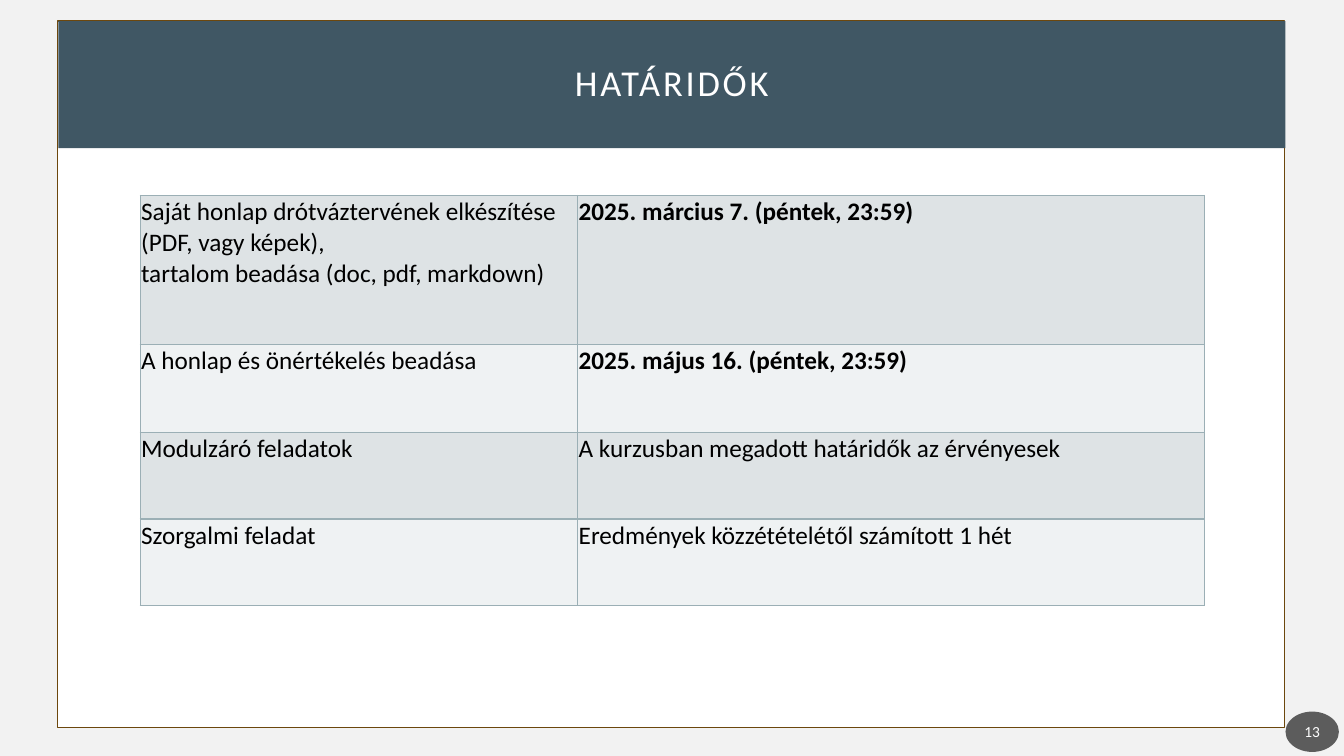
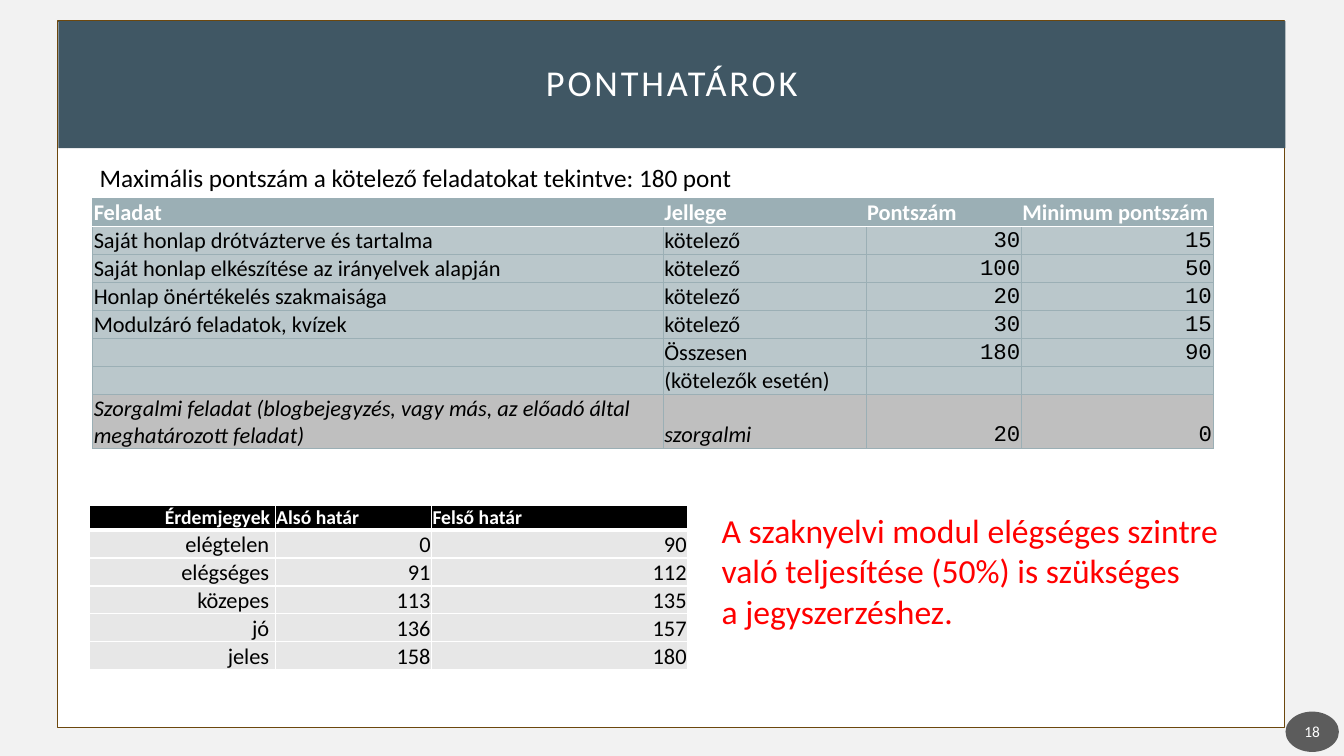
from dataclasses import dataclass, replace

from lxml import etree
from pptx import Presentation
from pptx.dml.color import RGBColor
from pptx.enum.shapes import MSO_SHAPE
from pptx.enum.text import MSO_ANCHOR, PP_ALIGN
from pptx.oxml.ns import qn
from pptx.util import Inches, Pt

# Shared look
PAPER = RGBColor(0xF2, 0xF2, 0xF2)
WHITE = RGBColor(0xFF, 0xFF, 0xFF)
BLACK = RGBColor(0x00, 0x00, 0x00)
RED = RGBColor(0xFF, 0x00, 0x00)
BROWN = RGBColor(0x6C, 0x47, 0x0D)
SLATE = RGBColor(0x40, 0x57, 0x64)
BADGE = RGBColor(0x1D, 0x1D, 0x1D)
STEEL = RGBColor(0x9B, 0xAF, 0xB5)
STEEL_MID = RGBColor(0xBA, 0xC7, 0xCB)
BAND_DARK = RGBColor(0xDE, 0xE3, 0xE5)
BAND_LIGHT = RGBColor(0xEF, 0xF2, 0xF3)
GRAY = RGBColor(0xBF, 0xBF, 0xBF)
GRAY_LIGHT = RGBColor(0xE7, 0xE7, 0xE7)

SANS = "Calibri"
MONO = "Courier New"
LEFT, CENTER, RIGHT = PP_ALIGN.LEFT, PP_ALIGN.CENTER, PP_ALIGN.RIGHT
TOP, MIDDLE, BOTTOM = MSO_ANCHOR.TOP, MSO_ANCHOR.MIDDLE, MSO_ANCHOR.BOTTOM
RECTANGLE, OVAL = MSO_SHAPE.RECTANGLE, MSO_SHAPE.OVAL


@dataclass(frozen=True)
class CellStyle:
    fill: RGBColor
    color: RGBColor = BLACK
    size: int = 16
    font: str = SANS
    bold: bool = False
    italic: bool = False
    align: int = LEFT
    anchor: int = BOTTOM
    space_after: int = 0
    margin_right: float = 0.01


def format_text(frame, size, color, font=SANS, bold=False, italic=False, align=LEFT):
    for para in frame.paragraphs:
        para.alignment = align
        for span in para.runs:
            span.font.name = font
            span.font.size = Pt(size)
            span.font.color.rgb = color
            span.font.bold = bold
            span.font.italic = italic


def set_margins(target, left, top, right, bottom):
    target.margin_left, target.margin_top = Inches(left), Inches(top)
    target.margin_right, target.margin_bottom = Inches(right), Inches(bottom)


def add_panel(page, kind, place, fill, line=None):
    panel = page.shapes.add_shape(kind, *map(Inches, place))
    panel.shadow.inherit = False
    panel.fill.solid()
    panel.fill.fore_color.rgb = fill
    if line is None:
        panel.line.fill.background()
    else:
        panel.line.color.rgb = line
        panel.line.width = Pt(1)
    return panel


def add_text(page, place, text, size, color):
    box = page.shapes.add_textbox(*map(Inches, place))
    box.text_frame.word_wrap = True
    box.text_frame.text = text
    format_text(box.text_frame, size, color)


def add_page(deck, title, number):
    page = deck.slides.add_slide(deck.slide_layouts[6])
    page.background.fill.solid()
    page.background.fill.fore_color.rgb = PAPER
    add_panel(page, RECTANGLE, (0.57, 0.21, 12.17, 7.01), WHITE, BROWN)

    # Title band
    band = add_panel(page, RECTANGLE, (0.58, 0.21, 12.17, 1.26), SLATE)
    frame = band.text_frame
    frame.text = title
    frame.vertical_anchor = MIDDLE
    set_margins(frame, 0.2, 0.2, 0.2, 0.2)
    format_text(frame, 26, WHITE, align=CENTER)
    frame.paragraphs[0].line_spacing = 0.9
    frame.paragraphs[0].runs[0].font._element.set("spc", "200")

    # Page number
    badge = add_panel(page, OVAL, (12.75, 7.06, 0.53, 0.4), BADGE)
    color = badge.fill._xPr.find(qn("a:solidFill"))[0]
    etree.SubElement(color, qn("a:alpha"), val="70000")
    frame = badge.text_frame
    frame.text = str(number)
    frame.vertical_anchor = MIDDLE
    set_margins(frame, 0.02, 0.05, 0.02, 0.05)
    format_text(frame, 11, WHITE, align=CENTER)
    return page


def set_border(cell, side, color, width):
    line = etree.SubElement(cell._tc.get_or_add_tcPr(), qn("a:ln" + side), w=str(Pt(width)))
    fill = etree.SubElement(line, qn("a:solidFill"))
    etree.SubElement(fill, qn("a:srgbClr"), val=str(color))


def fill_cell(cell, text, style):
    cell.text = text
    cell.vertical_anchor = style.anchor
    set_margins(cell, 0.01, 0.01, style.margin_right, 0)
    cell.fill.solid()
    cell.fill.fore_color.rgb = style.fill
    format_text(cell.text_frame, style.size, style.color, style.font,
                style.bold, style.italic, style.align)
    para = cell.text_frame.paragraphs[0]
    para.space_after = Pt(style.space_after)
    if not text:
        etree.SubElement(para._p, qn("a:endParaRPr"), sz=str(style.size * 100))


def add_grid(page, left, top, widths, heights, rows, border, header_rule=None):
    """Rows hold (text, style) pairs; borders are (colour, width) pairs."""
    grid = page.shapes.add_table(
        len(rows), len(widths), Inches(left), Inches(top),
        Inches(sum(widths)), Inches(sum(heights))).table
    grid.first_row = grid.horz_banding = False
    for column, width in zip(grid.columns, widths):
        column.width = Inches(width)
    for index, (row, height, content) in enumerate(zip(grid.rows, heights, rows)):
        row.height = Inches(height)
        for cell, (text, style) in zip(row.cells, content):
            for side in "LRTB":
                under_header = (index, side) in ((0, "B"), (1, "T"))
                set_border(cell, side, *(header_rule if header_rule and under_header else border))
            fill_cell(cell, text, style)


def build_deadlines(deck):
    page = add_page(deck, "HATÁRIDŐK", 13)
    deadlines = [
        ("Saját honlap drótváztervének elkészítése\v(PDF, vagy képek),\v"
         "tartalom beadása (doc, pdf, markdown)", "2025. március 7. (péntek, 23:59)", True),
        ("A honlap és önértékelés beadása", "2025. május 16. (péntek, 23:59)", True),
        ("Modulzáró feladatok", "A kurzusban megadott határidők az érvényesek", False),
        ("Szorgalmi feladat", "Eredmények közzétételétől számított 1 hét", False),
    ]
    rows = []
    for index, (task, deadline, bold) in enumerate(deadlines):
        style = CellStyle(BAND_LIGHT if index % 2 else BAND_DARK,
                          size=18, anchor=TOP, space_after=18)
        rows.append([(task, style), (deadline, replace(style, bold=bold))])
    add_grid(page, 1.39, 1.94, (4.34, 6.22), (1.48, 0.87, 0.86, 0.86), rows, (STEEL, 1))


def build_scores(deck):
    page = add_page(deck, "PONTHATÁROK", 18)
    add_text(page, (0.89, 1.56, 6.73, 0.4),
             "Maximális pontszám a kötelező feladatokat tekintve: 180 pont", 18, BLACK)

    # Points per task
    header = CellStyle(STEEL, WHITE, bold=True)
    body = CellStyle(STEEL_MID)
    extra = CellStyle(GRAY, italic=True)
    tasks = [
        ("Saját honlap drótvázterve és tartalma", "kötelező", "30", "15"),
        ("Saját honlap elkészítése az irányelvek alapján", "kötelező", "100", "50"),
        ("Honlap önértékelés szakmaisága", "kötelező", "20", "10"),
        ("Modulzáró feladatok, kvízek", "kötelező", "30", "15"),
        ("", "Összesen", "180", "90"),
        ("", "(kötelezők esetén)", "", ""),
        ("Szorgalmi feladat (blogbejegyzés, vagy más, az előadó által meghatározott feladat)",
         "szorgalmi", "20", "0"),
    ]
    rows = [[(text, header) for text in ("Feladat", "Jellege", "Pontszám", "Minimum pontszám")]]
    for task in tasks:
        words = extra if task is tasks[-1] else body
        points = replace(words, font=MONO, italic=False, align=RIGHT)
        rows.append(list(zip(task, (words, words, points, points))))
    add_grid(page, 0.92, 1.97, (5.66, 2.01, 1.54, 1.9), [0.27] * 7 + [0.54],
             rows, (STEEL, 0.5), (WHITE, 1))

    # Grade limits
    header = CellStyle(BLACK, WHITE, size=14, bold=True)
    limit = CellStyle(GRAY_LIGHT, align=RIGHT)
    grades = [
        ("elégtelen", "0", "90"),
        ("elégséges", "91", "112"),
        ("közepes", "113", "135"),
        ("jó", "136", "157"),
        ("jeles", "158", "180"),
    ]
    rows = [[("Érdemjegyek", replace(header, align=RIGHT, margin_right=0.05)),
             ("Alsó határ", header), ("Felső határ", header)]]
    label = replace(limit, margin_right=0.06)
    rows += [list(zip(grade, (label, limit, limit))) for grade in grades]
    add_grid(page, 0.89, 5.01, (1.84, 1.55, 2.54), [0.25] + [0.27] * 5,
             rows, (WHITE, 1), (WHITE, 3))

    add_text(page, (7.06, 5.01, 5.26, 1.31),
             "A szaknyelvi modul elégséges szintre\vvaló teljesítése (50%) is szükséges\v"
             "a jegyszerzéshez.", 24, RED)


def main():
    deck = Presentation()
    deck.slide_width, deck.slide_height = Inches(13.33), Inches(7.5)
    build_deadlines(deck)
    build_scores(deck)
    deck.save("out.pptx")


if __name__ == "__main__":
    main()
